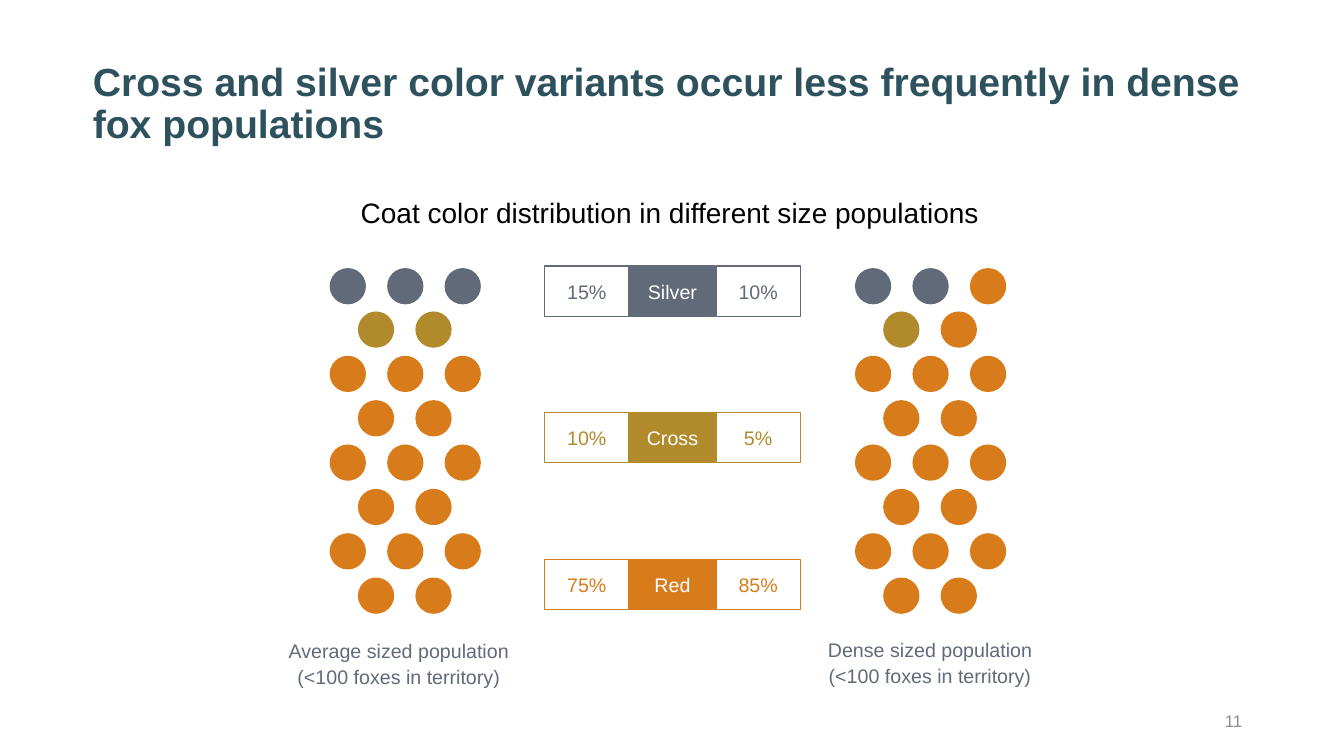
from pptx import Presentation
from pptx.dml.color import RGBColor
from pptx.enum.shapes import MSO_SHAPE
from pptx.enum.text import MSO_ANCHOR, PP_ALIGN
from pptx.util import Emu, Pt

OVAL, RECT = MSO_SHAPE.OVAL, MSO_SHAPE.RECTANGLE
LEFT, MID, RIGHT = PP_ALIGN.LEFT, PP_ALIGN.CENTER, PP_ALIGN.RIGHT
TOP, HALF = MSO_ANCHOR.TOP, MSO_ANCHOR.MIDDLE

SCALE = 9144  # EMU per px, 100 px to the inch
SILVER, CROSS, RED = "616A78", "B18A2C", "D87C1B"
TEAL, BLACK, GREY, WHITE = "2E515E", "000000", "8C8C8C", "FFFFFF"
COATS = {"S": SILVER, "C": CROSS, "R": RED}


def px(*nums):
    return [Emu(n * SCALE) for n in nums]


def color(code):
    return RGBColor.from_string(code)


class Deck:
    font = "Arial"
    dot = 36
    cell = (84, 50)

    def __init__(self, wide, high):
        self.prs = Presentation()
        self.prs.slide_width, self.prs.slide_height = px(wide, high)
        self.slide = self.prs.slides.add_slide(self.prs.slide_layouts[6])

    def fill_text(self, frame, text, size, ink, align=MID, anchor=TOP,
                  inset=(10, 5, 10, 5), bold=False, lead=None, gap=None):
        frame.word_wrap = True
        frame.vertical_anchor = anchor
        (frame.margin_left, frame.margin_top,
         frame.margin_right, frame.margin_bottom) = px(*inset)
        frame.text = text
        for para in frame.paragraphs:
            para.alignment = align
            para.line_spacing = lead
            para.space_before = gap
            para.font.name = self.font
            para.font.size = Pt(size)
            para.font.bold = bold
            para.font.color.rgb = color(ink)

    def text(self, box, text, size, ink, **style):
        item = self.slide.shapes.add_textbox(*px(*box))
        self.fill_text(item.text_frame, text, size, ink, **style)

    def shape(self, group, kind, box, fill=None, line=None):
        item = group.shapes.add_shape(kind, *px(*box))
        item.shadow.inherit = False
        if fill:
            item.fill.solid()
            item.fill.fore_color.rgb = color(fill)
        else:
            item.fill.background()
        if line:
            item.line.color.rgb = color(line)
            item.line.width = Pt(1)
        else:
            item.line.fill.background()
        return item

    def dots(self, left, top, coats):
        """Rows of three and two dots in turn, five to each pair of rows."""
        group = self.slide.shapes.add_group_shape()
        for i, coat in enumerate(coats):
            pair, spot = divmod(i, 5)
            odd = spot > 2
            row = 2 * pair + odd
            x = left + (28 + 57 * (spot - 3) if odd else 57 * spot)
            y = top + 307 * row // 7
            self.shape(group, OVAL, (x, y, self.dot, self.dot), COATS[coat])

    def label(self, left, top, name, tint, shares):
        """A filled name cell between two outlined share cells."""
        group = self.slide.shapes.add_group_shape()
        first, last = shares
        cells = [(1, name, tint, WHITE), (0, first, None, tint), (2, last, None, tint)]
        for col, text, fill, ink in cells:
            box = (left + 85 * col, top, *self.cell)
            item = self.shape(group, RECT, box, fill, tint)
            self.fill_text(item.text_frame, text, 14, ink, anchor=HALF)

    def caption(self, box, text, inset):
        self.text(box, text, 14, SILVER, inset=inset, lead=0.5, gap=Pt(10))


def main():
    deck = Deck(1333, 750)

    # Headings
    deck.text((92, 62, 1152, 96),
              "Cross and silver color variants occur less frequently in dense fox populations",
              28, TEAL, align=LEFT, inset=(0, 0, 0, 0), bold=True, lead=0.9)
    deck.text((292, 189, 745, 44),
              "Coat color distribution in different size populations", 20, BLACK)

    # Average population
    deck.dots(327, 266, "SSSCC" + "R" * 15)
    deck.caption((224, 639, 353, 60),
                 "Average sized population\n(<100 foxes in territory)", (0, 5, 10, 5))

    # Shares of each coat color
    coats = [("Silver", SILVER, ("15%", "10%")),
             ("Cross", CROSS, ("10%", "5%")),
             ("Red", RED, ("75%", "85%"))]
    for i, (name, tint, shares) in enumerate(coats):
        deck.label(540, 264 + 291 * i // 2, name, tint, shares)

    # Dense population
    deck.dots(848, 266, "SSRC" + "R" * 16)
    deck.caption((746, 638, 353, 60),
                 "Dense sized population\n(<100 foxes in territory)", (10, 5, 10, 5))

    # Slide number
    deck.text((942, 695, 300, 40), "11", 12, GREY, align=RIGHT, anchor=HALF)

    deck.prs.save("out.pptx")


if __name__ == "__main__":
    main()
